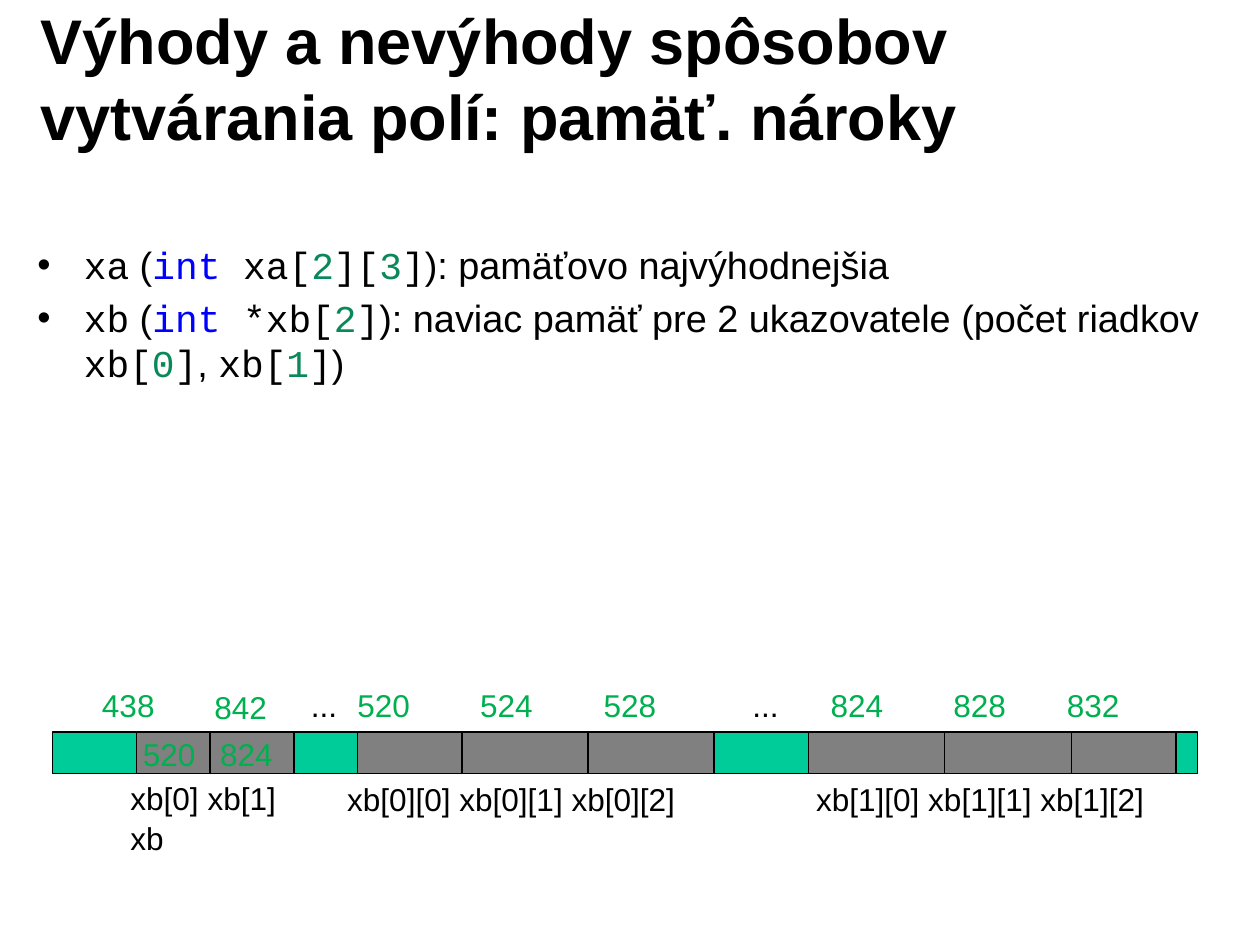
from dataclasses import dataclass

from lxml.etree import SubElement as Sub
from pptx import Presentation
from pptx.dml.color import RGBColor as Rgb
from pptx.enum.shapes import MSO_CONNECTOR as Conn, MSO_SHAPE as Kind
from pptx.enum.text import MSO_ANCHOR as Anchor, MSO_AUTO_SIZE as Fit, PP_ALIGN as Align
from pptx.oxml.ns import qn
from pptx.util import Pt


@dataclass(frozen=True)
class Theme:
    ink: str = "000000"
    key: str = "0000FF"
    num: str = "09885A"
    addr: str = "00B050"
    used: str = "808080"
    free: str = "00CC99"
    sans: str = "Arial"
    mono: str = "Courier New"
    head: float = 40
    body: float = 24
    note: float = 20
    rule: float = 0.75


THEME = Theme()
STYLES = {
    "text": (THEME.sans, THEME.ink),
    "code": (THEME.mono, THEME.ink),
    "key": (THEME.mono, THEME.key),
    "num": (THEME.mono, THEME.num),
}

TITLE = "Výhody a nevýhody spôsobov vytvárania polí: pamäť. nároky"
POINTS = [
    [("xa", "code"), (" (", "text"), ("int ", "key"), ("xa[", "code"), ("2", "num"),
     ("][", "code"), ("3", "num"), ("]", "code"), ("): pamäťovo najvýhodnejšia", "text")],
    [("xb", "code"), (" (", "text"), ("int ", "key"), ("*xb[", "code"), ("2", "num"),
     ("]", "code"), ("): naviac pamäť pre 2 ukazovatele (počet riadkov ", "text"),
     ("xb[", "code"), ("0", "num"), ("]", "code"), (", ", "text"),
     ("xb[", "code"), ("1", "num"), ("]", "code"), (")", "text")],
]

BAR_TOP, BAR_HIGH = 464.4, 26.6
USED = (86.4, 666)
FREE = [(33.1, 53.3), (186.5, 40.3), (452.9, 59.8), (745.9, 13.7)]
CUTS = [133.2, 293, 373, 599, 679.7]

ADDR_TOP = 431.5
ADDRS = [
    ("438", 57.6, ADDR_TOP), ("842", 128.9, 432.7),
    ("520", 219.6, ADDR_TOP), ("524", 297.4, ADDR_TOP), ("528", 375.8, ADDR_TOP),
    ("824", 519.8, ADDR_TOP), ("828", 597.6, ADDR_TOP), ("832", 669.6, ADDR_TOP),
    ("520", 83.5, 463), ("824", 132.5, 463),
]
NAMES = [
    ("...", 190.1, ADDR_TOP, 31), ("...", 470.2, ADDR_TOP, 31),
    ("xb[0] xb[1]", 75.6, 490.6, 107.3), ("xb", 75.6, 516.2, 36),
    ("xb[0][0] xb[0][1] xb[0][2]", 213.1, 491.4, 223.9),
    ("xb[1][0] xb[1][1] xb[1][2]", 510.5, 491.4, 223.9),
]


def put(item, **vals):
    for name, val in vals.items():
        setattr(item, name, val)


def ink(font, face, size, color, bold=False):
    put(font, name=face, size=Pt(size), bold=bold)
    font.color.rgb = Rgb.from_string(color)


def title(slide):
    head = slide.shapes.title
    put(head, left=Pt(18), top=Pt(12.2), width=Pt(641.5), height=Pt(73.4))
    frame = head.text_frame
    put(frame, text=TITLE, word_wrap=True, auto_size=Fit.NONE,
        vertical_anchor=Anchor.MIDDLE, margin_left=Pt(7.9), margin_right=Pt(7.9),
        margin_top=Pt(4.3), margin_bottom=Pt(4.3))
    para = frame.paragraphs[0]
    para.alignment = Align.LEFT
    ink(para.runs[0].font, THEME.sans, THEME.head, THEME.ink, True)


def bullet(para):
    props = para._p.get_or_add_pPr()
    props.set("marL", str(Pt(29.5)))
    props.set("indent", str(Pt(-29.5)))
    Sub(props, qn("a:buFont"), typeface=THEME.sans)
    Sub(props, qn("a:buChar"), char="•")


def points(slide):
    box = slide.shapes.add_textbox(Pt(15.8), Pt(148.8), Pt(767.5), Pt(289))
    frame = box.text_frame
    put(frame, word_wrap=True, margin_left=Pt(7.9), margin_right=Pt(7.9),
        margin_top=Pt(4.3), margin_bottom=Pt(4.3))
    for row, parts in enumerate(POINTS):
        para = frame.add_paragraph() if row else frame.paragraphs[0]
        bullet(para)
        if row:
            para.space_before = Pt(4.8)
        for words, style in parts:
            run = para.add_run()
            run.text = words
            face, color = STYLES[style]
            ink(run.font, face, THEME.body, color)


def block(shapes, left, width, color):
    cell = shapes.add_shape(Kind.RECTANGLE, Pt(left), Pt(BAR_TOP), Pt(width), Pt(BAR_HIGH))
    cell.shadow.inherit = False
    cell.fill.solid()
    cell.fill.fore_color.rgb = Rgb.from_string(color)
    edge(cell.line)


def edge(line):
    line.width = Pt(THEME.rule)
    line.color.rgb = Rgb.from_string(THEME.ink)


def cut(shapes, left):
    line = shapes.add_connector(
        Conn.STRAIGHT, Pt(left), Pt(BAR_TOP), Pt(left), Pt(BAR_TOP + BAR_HIGH))
    edge(line.line)
    Sub(line._element.spPr, qn("a:effectLst"))


def label(shapes, words, left, top, width, color):
    box = shapes.add_textbox(Pt(left), Pt(top), Pt(width), Pt(31.7))
    frame = box.text_frame
    put(frame, text=words, word_wrap=False, auto_size=Fit.SHAPE_TO_FIT_TEXT)
    ink(frame.paragraphs[0].runs[0].font, THEME.sans, THEME.note, color)


def memory(slide):
    shapes = slide.shapes.add_group_shape().shapes
    block(shapes, *USED, THEME.used)
    for left in CUTS:
        cut(shapes, left)
    for left, width in FREE:
        block(shapes, left, width, THEME.free)
    for words, left, top in ADDRS:
        label(shapes, words, left, top, 48.2, THEME.addr)
    for words, left, top, width in NAMES:
        label(shapes, words, left, top, width, THEME.ink)


def main():
    deck = Presentation()
    put(deck, slide_width=Pt(799.2), slide_height=Pt(597.6))
    slide = deck.slides.add_slide(deck.slide_layouts[5])
    title(slide)
    points(slide)
    memory(slide)
    deck.save("out.pptx")


if __name__ == "__main__":
    main()
